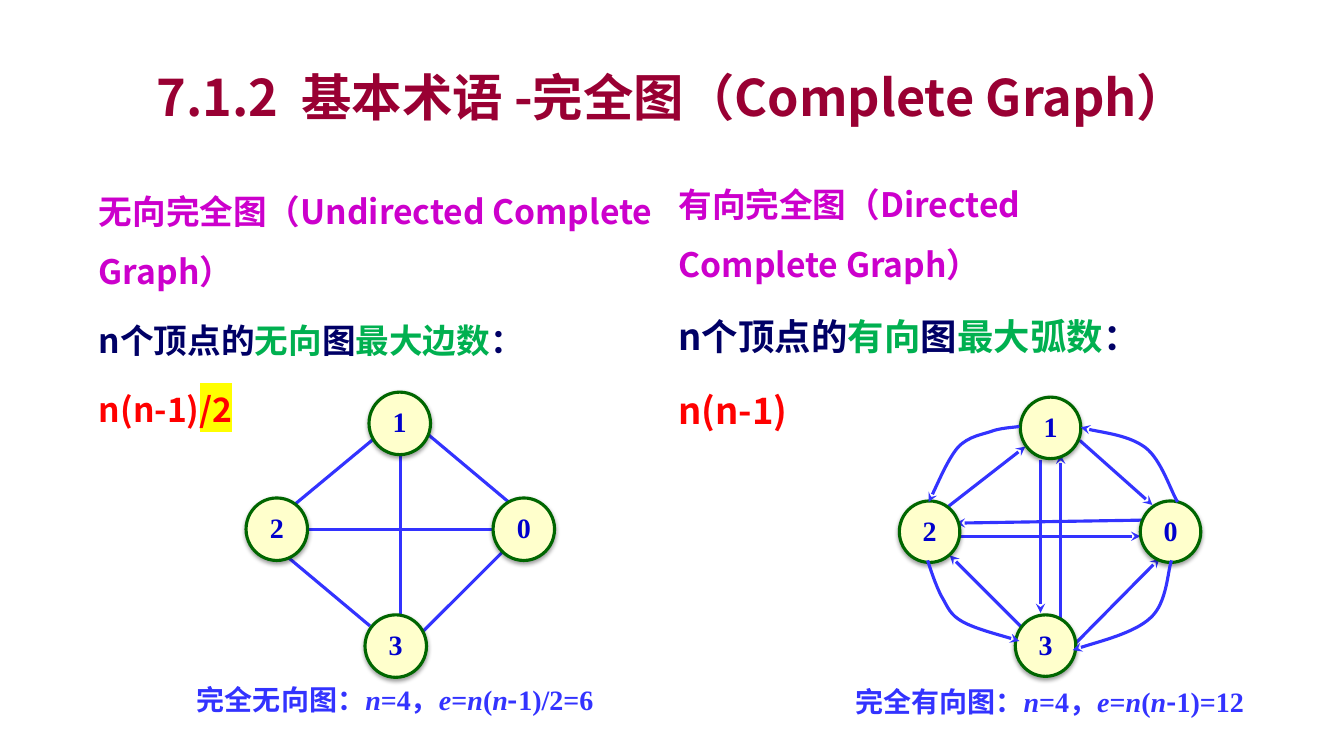
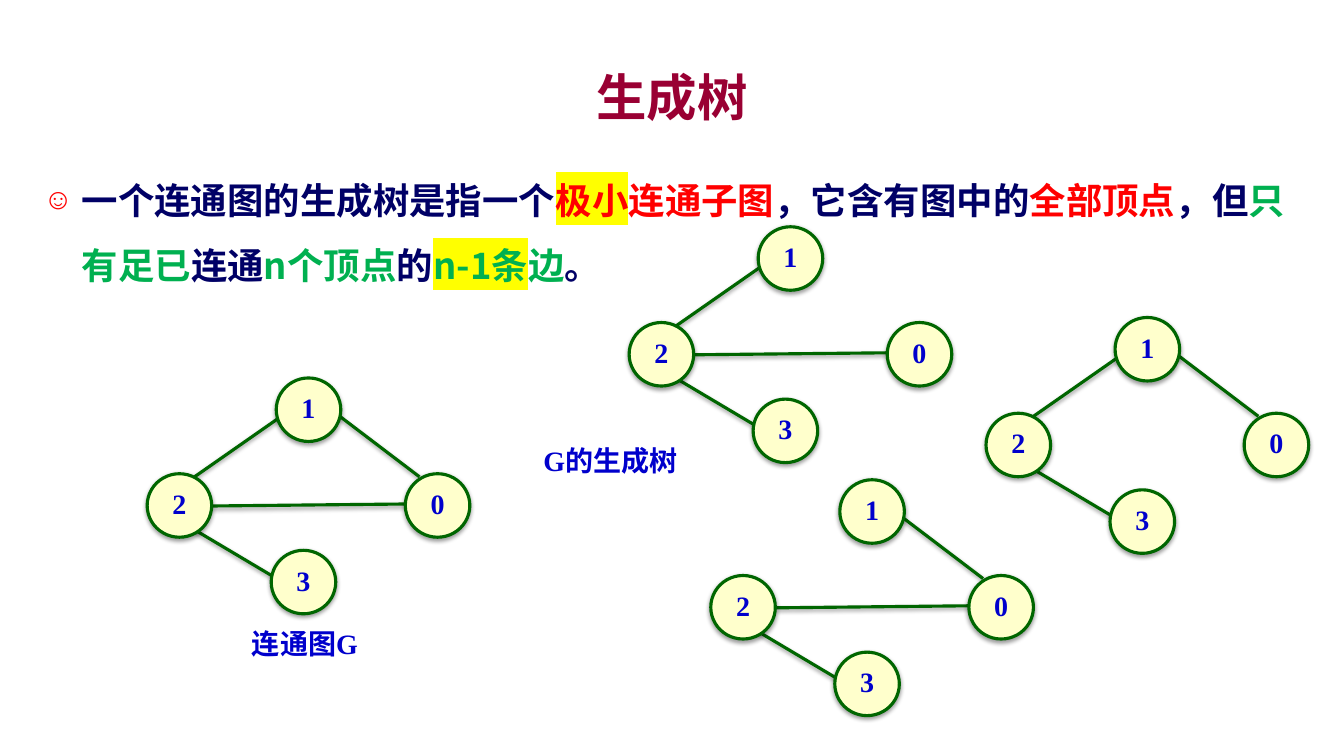
from dataclasses import dataclass
from lxml.etree import SubElement
from pptx import Presentation
from pptx.dml.color import RGBColor
from pptx.enum.shapes import MSO_CONNECTOR, MSO_SHAPE
from pptx.enum.text import MSO_ANCHOR, MSO_AUTO_SIZE, PP_ALIGN
from pptx.oxml.ns import qn
from pptx.util import Inches, Pt

SANS, SERIF = "Noto Sans CJK SC", "Times New Roman"
CRIMSON, PURPLE, NAVY = "990033", "CC00CC", "000066"
GREEN, RED, YELLOW = "00B050", "FF0000", "FFFF00"
EDGE_BLUE, LABEL_BLUE, DARK_GREEN, CREAM = "3333FF", "0000CC", "006600", "FFFFCC"

Point = tuple[float, float]
Edge = tuple[Point, Point]


@dataclass(frozen=True)
class Span:
    text: str
    color: str
    size: float = 24
    font: str = SANS
    italic: bool = False
    highlight: str = ""
    spacing: float = 0


@dataclass(frozen=True)
class EdgeStyle:
    color: str
    arrow: bool = False
    shadow: bool = False


@dataclass(frozen=True)
class Graph:
    vertices: dict[str, Point]
    vertex_size: Point
    edges: list[Edge]
    style: EdgeStyle
    curves: tuple[list[Point], ...] = ()
    caption: tuple[Span, ...] = ()
    caption_at: Point = (0, 0)
    caption_width: float = 4.22


def rgb(color: str) -> RGBColor:
    return RGBColor.from_string(color)


def place(shape, left: float, top: float, width: float, height: float) -> None:
    shape.left, shape.top = Inches(left), Inches(top)
    shape.width, shape.height = Inches(width), Inches(height)


def write(paragraph, spans) -> None:
    for span in spans:
        run = paragraph.add_run()
        run.text = span.text
        font = run.font
        font.name, font.size, font.bold = span.font, Pt(span.size), True
        font.italic = span.italic
        font.color.rgb = rgb(span.color)
        properties = run._r.get_or_add_rPr()
        SubElement(properties, qn("a:ea"), typeface=SANS)
        if span.spacing:
            properties.set("spc", str(round(span.spacing * 100)))
        if span.highlight:
            mark = SubElement(properties, qn("a:highlight"))
            SubElement(mark, qn("a:srgbClr"), val=span.highlight)
            properties.find(qn("a:solidFill")).addnext(mark)


def write_title(slide, *spans: Span) -> None:
    paragraph = slide.shapes.title.text_frame.paragraphs[0]
    paragraph.alignment = PP_ALIGN.CENTER
    write(paragraph, spans)


def write_body(body, paragraphs, bullet: str = "") -> None:
    frame = body.text_frame
    frame.auto_size = MSO_AUTO_SIZE.NONE
    for index, spans in enumerate(paragraphs):
        paragraph = frame.add_paragraph() if index else frame.paragraphs[0]
        paragraph.line_spacing = 1.5
        paragraph.space_before = Pt(6)
        paragraph.space_after = Pt(6 if bullet else 0)
        indent = Inches(0.38) if bullet else 0
        properties = paragraph._p.get_or_add_pPr()
        properties.set("marL", str(indent))
        properties.set("indent", str(-indent))
        if bullet:
            SubElement(SubElement(properties, qn("a:buClr")), qn("a:srgbClr"), val=RED)
            SubElement(properties, qn("a:buSzPct"), val="80000")
            SubElement(properties, qn("a:buChar"), char=bullet)
        else:
            SubElement(properties, qn("a:buNone"))
        write(paragraph, spans)


def set_effects(shape, shadow: bool) -> None:
    """Replace the theme's effects with a soft drop shadow or with none."""
    effects = SubElement(shape._element.spPr, qn("a:effectLst"))
    if shadow:
        drop = SubElement(effects, qn("a:outerShdw"), blurRad="40000", dist="20000",
                          dir="5400000", rotWithShape="0")
        black = SubElement(drop, qn("a:srgbClr"), val="000000")
        SubElement(black, qn("a:alpha"), val="38000")


def style_edge(edge, style: EdgeStyle) -> None:
    edge.line.color.rgb = rgb(style.color)
    edge.line.width = Pt(2.25)
    if style.arrow:
        SubElement(edge.line._get_or_add_ln(), qn("a:tailEnd"), type="stealth")
    set_effects(edge, style.shadow)


def draw_edge(shapes, edge: Edge, style: EdgeStyle) -> None:
    ends = [Inches(value) for point in edge for value in point]
    style_edge(shapes.add_connector(MSO_CONNECTOR.STRAIGHT, *ends), style)


def draw_curve(shapes, points: list[Point], style: EdgeStyle) -> None:
    """Draw Bézier arcs: a start point, then two controls and an end for each arc."""
    start, *rest = [(Inches(x), Inches(y)) for x, y in points]
    builder = shapes.build_freeform(*start)
    builder.add_line_segments(rest, close=False)
    curve = builder.convert_to_shape()
    segments = list(curve._element.iter(qn("a:lnTo")))
    for first in range(0, len(segments), 3):
        arc = segments[first].getparent().makeelement(qn("a:cubicBezTo"))
        segments[first].addprevious(arc)
        for segment in segments[first:first + 3]:
            arc.append(segment[0])
            segment.getparent().remove(segment)
    curve.fill.background()
    style_edge(curve, style)


def draw_vertex(shapes, label: str, at: Point, size: Point) -> None:
    vertex = shapes.add_shape(MSO_SHAPE.OVAL, *map(Inches, at + size))
    vertex.fill.solid()
    vertex.fill.fore_color.rgb = rgb(CREAM)
    vertex.line.color.rgb = rgb(DARK_GREEN)
    vertex.line.width = Pt(2.25)
    set_effects(vertex, shadow=True)
    frame = vertex.text_frame
    frame.vertical_anchor = MSO_ANCHOR.TOP
    frame.margin_left = frame.margin_right = frame.margin_bottom = 0
    frame.margin_top = Inches(0.12)
    paragraph = frame.paragraphs[0]
    paragraph.alignment = PP_ALIGN.CENTER
    paragraph.line_spacing = 0.72
    write(paragraph, [Span(label, LABEL_BLUE, 20, SERIF)])


def draw_graph(slide, graph: Graph) -> None:
    shapes = slide.shapes.add_group_shape().shapes
    for edge in graph.edges:
        draw_edge(shapes, edge, graph.style)
    for label, at in graph.vertices.items():
        draw_vertex(shapes, label, at, graph.vertex_size)
    for points in graph.curves:
        draw_curve(shapes, points, graph.style)
    if graph.caption:
        left, top = graph.caption_at
        caption = shapes.add_textbox(Inches(left), Inches(top),
                                     Inches(graph.caption_width), Inches(0.44))
        frame = caption.text_frame
        frame.word_wrap = True
        frame.auto_size = MSO_AUTO_SIZE.SHAPE_TO_FIT_TEXT
        frame.paragraphs[0].alignment = PP_ALIGN.CENTER
        write(frame.paragraphs[0], graph.caption)


def formula_caption(kind: str, ending: str) -> tuple[Span, ...]:
    pieces = (f"完全{kind}图：", "n", "=4，", "e", "=", "n", "(", "n", "-", ending)
    return tuple(Span(piece, EDGE_BLUE, 20, SANS if piece == "-" else SERIF,
                      italic=piece in ("n", "e")) for piece in pieces)


def definition(kind: str, english: str, counted: str, size: float, *formula: Span):
    return [
        [Span(f"{kind}完全图（{english} Complete Graph）", PURPLE)],
        [Span("n个顶点的", NAVY, size), Span(kind, GREEN, size), Span("图", NAVY, size),
         Span(f"最大{counted}数", GREEN, size), Span("：", NAVY, size)],
        formula,
    ]


UNDIRECTED = Graph(
    vertices={"1": (3.66, 3.89), "0": (4.89, 4.94), "2": (2.44, 4.94), "3": (3.62, 6.1)},
    vertex_size=(0.61, 0.62),
    edges=[((3.76, 4.31), (2.82, 5.09)), ((2.75, 5.44), (3.67, 6.21)),
           ((4.2, 6.26), (5.03, 5.43)), ((4.15, 4.23), (5.08, 5.01)),
           ((2.75, 5.25), (5.19, 5.25)), ((3.97, 4.5), (3.97, 6.36))],
    style=EdgeStyle(EDGE_BLUE),
    caption=formula_caption("无向", "1)/2=6"),
    caption_at=(1.81, 6.72),
)

DIRECTED = Graph(
    vertices={"1": (10.12, 3.94), "0": (11.31, 4.97), "2": (8.92, 4.97), "3": (10.07, 6.1)},
    vertex_size=(0.6, 0.61),
    edges=[((10.32, 4.56), (10.32, 6.08)), ((10.52, 6.34), (10.52, 4.51)),
           ((11.34, 5.16), (9.48, 5.19)), ((9.52, 5.32), (11.31, 5.32)),
           ((10.29, 6.38), (9.42, 5.51)), ((10.67, 6.38), (11.5, 5.54)),
           ((10.71, 4.37), (11.43, 5.01)), ((9.36, 5.06), (10.17, 4.43))],
    style=EdgeStyle(EDGE_BLUE, arrow=True),
    curves=(
        [(11.62, 5.56), (11.58, 5.65), (11.58, 5.98), (11.41, 6.13),
         (11.25, 6.28), (10.8, 6.39), (10.64, 6.45)],
        [(10.11, 4.23), (10.07, 4.24), (9.97, 4.24), (9.86, 4.27), (9.76, 4.31),
         (9.61, 4.32), (9.5, 4.44), (9.4, 4.56), (9.27, 4.87), (9.21, 4.98)],
        [(9.2, 5.56), (9.22, 5.62), (9.28, 5.81), (9.34, 5.92), (9.4, 6.02),
         (9.42, 6.1), (9.55, 6.17), (9.68, 6.24), (9.99, 6.32), (10.11, 6.36)],
        [(11.68, 4.98), (11.62, 4.89), (11.52, 4.56), (11.36, 4.44),
         (11.2, 4.32), (10.85, 4.28), (10.72, 4.24)],
    ),
    caption=formula_caption("有向", "1)=12"),
    caption_at=(8.3, 6.74),
)

# Offsets from the top left of vertex 1
TREE_VERTICES = {"1": (0, 0), "0": (1.28, 0.95), "2": (-1.28, 0.95), "3": (-0.05, 1.71)}
TREE_EDGES = {
    "12": ((-0.81, 0.98), (0.05, 0.38)),
    "23": ((-0.82, 1.5), (-0.03, 1.97)),
    "02": ((1.28, 1.25), (-0.63, 1.27)),
    "10": ((0.63, 0.38), (1.42, 0.98)),
}


def tree_graph(origin: Point, edges: str, caption: str = "",
               caption_at: Point = (0, 0)) -> Graph:
    """Build the four-vertex graph at origin with only the named edges."""
    def shift(point: Point) -> Point:
        return origin[0] + point[0], origin[1] + point[1]

    return Graph(
        vertices={label: shift(at) for label, at in TREE_VERTICES.items()},
        vertex_size=(0.64, 0.63),
        edges=[(shift(start), shift(end))
               for start, end in map(TREE_EDGES.get, edges.split())],
        style=EdgeStyle(DARK_GREEN, shadow=True),
        caption=(Span(caption, LABEL_BLUE, 20, SERIF),) if caption else (),
        caption_at=caption_at,
        caption_width=1.95,
    )


TREES = [
    tree_graph((7.52, 2.25), "12 23 02", "G的生成树", (5.08, 4.35)),
    tree_graph((2.74, 3.75), "12 23 02 10", "连通图G", (2.05, 6.17)),
    tree_graph((11.06, 3.15), "12 23 10"),
    tree_graph((8.33, 4.76), "23 02 10"),
]


def add_complete_graph_slide(deck) -> None:
    slide = deck.slides.add_slide(deck.slide_layouts.get_by_name("Two Content"))
    write_title(slide, Span("7.1.2", CRIMSON, 36), Span(" ", CRIMSON, 36, spacing=8),
                Span("基本术语 -完全图（Complete Graph）", CRIMSON, 36))
    undirected, directed = slide.placeholders[1], slide.placeholders[2]
    place(undirected, 0.88, 1.64, 5.71, 3.1)
    write_body(undirected, definition("无向", "Undirected", "边", 24, Span("n(n-1)", RED),
                                      Span("/2", RED, highlight=YELLOW)))
    place(directed, 6.63, 1.57, 5.18, 2.83)
    write_body(directed, definition("有向", "Directed", "弧", 26, Span("n(n-1)", RED, 26)))
    for graph in (UNDIRECTED, DIRECTED):
        draw_graph(slide, graph)


def add_spanning_tree_slide(deck) -> None:
    slide = deck.slides.add_slide(deck.slide_layouts.get_by_name("Title and Content"))
    write_title(slide, Span("生成树", CRIMSON, 36))
    body = slide.placeholders[1]
    place(body, 0.33, 1.5, 12.67, 5.67)
    write_body(body, [[
        Span("一个连通图的生成树是指一个", NAVY, 26),
        Span("极小", RED, 26, highlight=YELLOW), Span("连通子图", RED, 26),
        Span("，它含有图中的", NAVY, 26), Span("全部顶点", RED, 26),
        Span("，但", NAVY, 26), Span("只有足已", GREEN, 26), Span("连通", NAVY, 26),
        Span("n个顶点", GREEN, 26), Span("的", NAVY, 26),
        Span("n-1条", GREEN, 26, highlight=YELLOW), Span("边", GREEN, 26),
        Span("。", NAVY, 26),
    ]], bullet="☺")
    for tree in TREES:
        draw_graph(slide, tree)


def main() -> None:
    deck = Presentation()
    deck.slide_width, deck.slide_height = Inches(13.33), Inches(7.5)
    master_title = deck.slide_master.placeholders[0]
    place(master_title, 1, 0.58, 11.33, 0.75)
    master_title.text_frame.vertical_anchor = MSO_ANCHOR.MIDDLE
    add_complete_graph_slide(deck)
    add_spanning_tree_slide(deck)
    deck.save("out.pptx")


if __name__ == "__main__":
    main()
